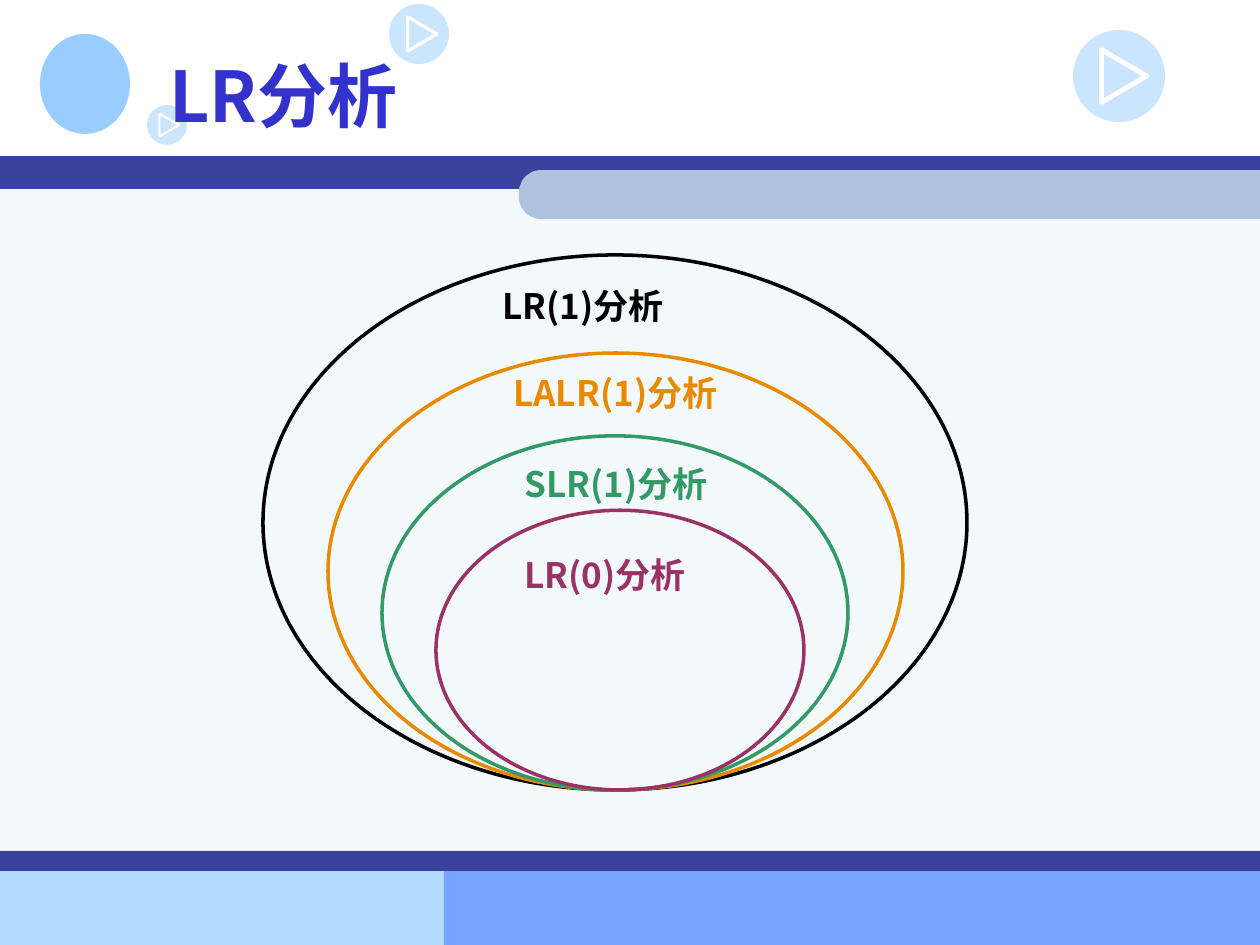
"""Build a slide showing how the LR parsing classes nest."""
from lxml import etree
from pptx import Presentation
from pptx.dml.color import RGBColor
from pptx.enum.shapes import MSO_SHAPE
from pptx.enum.text import MSO_ANCHOR
from pptx.oxml.ns import qn
from pptx.util import Emu, Pt

RECT = MSO_SHAPE.RECTANGLE
OVAL = MSO_SHAPE.OVAL
TAB = MSO_SHAPE.ROUND_2_SAME_RECTANGLE
TOP = MSO_ANCHOR.TOP
MIDDLE = MSO_ANCHOR.MIDDLE

FONT = "Noto Sans CJK SC"
EMU_PER_PX = 914400 / 126
WIDTH, HEIGHT = 1260, 945

WHITE = RGBColor(0xFF, 0xFF, 0xFF)
BLACK = RGBColor(0x00, 0x00, 0x00)
ORANGE = RGBColor(0xE8, 0x8A, 0x00)
GREEN = RGBColor(0x33, 0x99, 0x66)
PLUM = RGBColor(0x99, 0x33, 0x66)
TITLE_BLUE = RGBColor(0x33, 0x33, 0xCC)
SKY = RGBColor(0x99, 0xCC, 0xFF)
NAVY = RGBColor(0x36, 0x42, 0x9B)
PALE = RGBColor(0xF3, 0xF8, 0xFB)
STEEL = RGBColor(0xAD, 0xC3, 0xDD)
LIGHT_BLUE = RGBColor(0xB5, 0xDA, 0xFF)
MID_BLUE = RGBColor(0x77, 0xA4, 0xFF)

BANDS = [
    (0, 871, 444, 74, LIGHT_BLUE),
    (444, 871, 816, 74, MID_BLUE),
    (0, 176, WIDTH, 695, PALE),
    (0, 156, WIDTH, 33, NAVY),
    (0, 851, WIDTH, 20, NAVY),
]
PLAY_BADGES = [(419, 34, 30), (1119, 76, 46), (167, 125, 20)]
CLASS_BOTTOM = 790
CLASS_RATIO = 0.76
PARSER_CLASSES = [
    ("LR(1)分析", BLACK, 263, 704, 490, 278),
    ("LALR(1)分析", ORANGE, 328, 575, 501, 365),
    ("SLR(1)分析", GREEN, 382, 466, 512, 456),
    ("LR(0)分析", PLUM, 436, 368, 512, 547),
]


def px(length):
    """Turn pixels into EMU."""
    return Emu(round(length * EMU_PER_PX))


def paint(shape, fill=None, line=None, weight=2):
    """Set fill and outline, with no shadow."""
    shape.shadow.inherit = False
    if fill is None:
        shape.fill.background()
    else:
        shape.fill.solid()
        shape.fill.fore_color.rgb = fill
    if line is None:
        shape.line.fill.background()
    else:
        shape.line.color.rgb = line
        shape.line.width = Pt(weight)


def add_figure(slide, kind, left, top, width, height, fill=None, line=None):
    """Add a painted preset shape."""
    figure = slide.shapes.add_shape(kind, px(left), px(top), px(width), px(height))
    paint(figure, fill, line)
    return figure


def add_label(slide, text, left, top, width, height, size, color, anchor=TOP):
    """Add one line of bold text."""
    frame = slide.shapes.add_textbox(px(left), px(top), px(width), px(height)).text_frame
    frame.word_wrap = True
    frame.vertical_anchor = anchor
    paragraph = frame.paragraphs[0]
    run = paragraph.add_run()
    run.text = text
    paragraph.font.name = FONT
    paragraph.font.size = Pt(size)
    paragraph.font.bold = True
    paragraph.font.color.rgb = color
    east_asian = etree.SubElement(run.font._element, qn("a:ea"))
    east_asian.set("typeface", FONT)


def add_play_badge(slide, x, y, radius):
    """Add a half-transparent disc with a play triangle."""
    disc = add_figure(slide, OVAL, x - radius, y - radius, 2 * radius, 2 * radius, SKY)
    tint = disc.fill._xPr.find(qn("a:solidFill"))[0]
    etree.SubElement(tint, qn("a:alpha")).set("val", "50000")
    back, tip = x - 0.38 * radius, x + 0.6 * radius
    reach = 0.57 * radius
    builder = slide.shapes.build_freeform(px(back), px(y - reach))
    builder.add_line_segments([(px(tip), px(y)), (px(back), px(y + reach))], close=True)
    paint(builder.convert_to_shape(), line=WHITE, weight=round(0.06 * radius, 1))


def add_side_tab(slide, left, top, width, height):
    """Add a bar whose left end is round."""
    turned_left = left + (width - height) / 2
    turned_top = top + (height - width) / 2
    tab = add_figure(slide, TAB, turned_left, turned_top, height, width, STEEL)
    tab.adjustments[0] = 0.45
    tab.rotation = 270


def add_parser_class(slide, text, color, left, width, label_left, label_top):
    """Add one nested ellipse and its label."""
    height = width * CLASS_RATIO
    add_figure(slide, OVAL, left, CLASS_BOTTOM - height, width, height, line=color)
    add_label(slide, text, label_left, label_top, 250, 55, 20, color)


def main():
    """Build and save the slide."""
    deck = Presentation()
    deck.slide_width, deck.slide_height = px(WIDTH), px(HEIGHT)
    slide = deck.slides.add_slide(deck.slide_layouts[6])
    for *box, color in BANDS:
        add_figure(slide, RECT, *box, color)
    add_side_tab(slide, 519, 170, 741, 49)
    add_figure(slide, OVAL, 40, 34, 90, 100, SKY)
    for badge in PLAY_BADGES:
        add_play_badge(slide, *badge)
    add_label(slide, "LR分析", 157, 21, 1071, 147, 40, TITLE_BLUE, MIDDLE)
    for parser_class in PARSER_CLASSES:
        add_parser_class(slide, *parser_class)
    deck.save("out.pptx")


if __name__ == "__main__":
    main()
